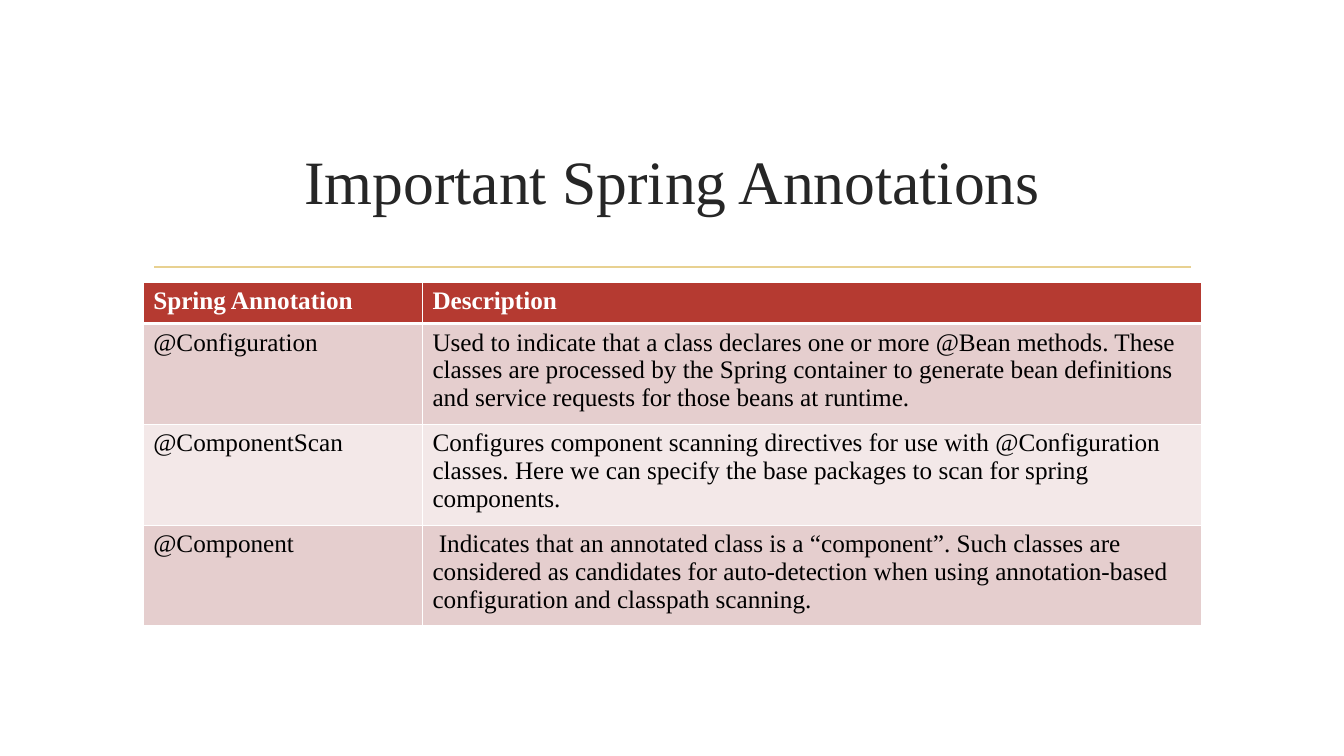
from lxml.etree import SubElement
from pptx import Presentation
from pptx.dml.color import RGBColor
from pptx.enum.shapes import MSO_CONNECTOR
from pptx.enum.text import MSO_ANCHOR, PP_ALIGN
from pptx.oxml.ns import qn
from pptx.util import Inches, Pt

TITLE = "Important Spring Annotations"
ANNOTATIONS = [
    ("Spring Annotation", "Description"),
    ("@Configuration",
     "Used to indicate that a class declares one or more @Bean methods. "
     "These classes are processed by the Spring container to generate bean "
     "definitions and service requests for those beans at runtime."),
    ("@ComponentScan",
     "Configures component scanning directives for use with @Configuration "
     "classes. Here we can specify the base packages to scan for spring components."),
    ("@Component",
     " Indicates that an annotated class is a “component”. Such classes are "
     "considered as candidates for auto-detection when using annotation-based "
     "configuration and classpath scanning."),
]
THEME = {
    "font": "Times New Roman",
    "title_size": 44,
    "table_size": 18,
    "title": "262626",
    "rule": "E8D191",
    "header": "B53A31",
    "header_text": "FFFFFF",
    "body_text": "000000",
    "bands": ("E5CECE", "F3E8E8"),
    "border": "FFFFFF",
}
LEFT, WIDTH = 1.42, 10.5
TITLE_TOP, TITLE_HEIGHT = 1.07, 1.43
RULE_LEFT, RULE_RIGHT, RULE_TOP = 1.53, 11.81, 2.65
TABLE_TOP = 2.8
COLUMNS = (2.77, 7.73)
HEADER_HEIGHT, BODY_HEIGHT = 0.41, 0.93


def add_run(paragraph, words, size, color, bold=False):
    run = paragraph.add_run()
    run.text = words
    run.font.name = THEME["font"]
    run.font.size = Pt(size)
    run.font.bold = bold
    run.font.color.rgb = RGBColor.from_string(color)


def set_borders(cell, widths):
    properties = cell._tc.get_or_add_tcPr()
    for position, (side, width) in enumerate(widths.items()):
        border = properties.makeelement(qn(f"a:{side}"), {"w": str(Pt(width))})
        fill = SubElement(border, qn("a:solidFill"))
        SubElement(fill, qn("a:srgbClr"), val=THEME["border"])
        properties.insert(position, border)


def add_title(slide):
    title = slide.shapes.add_textbox(
        Inches(LEFT), Inches(TITLE_TOP), Inches(WIDTH), Inches(TITLE_HEIGHT))
    frame = title.text_frame
    frame.word_wrap = True
    frame.vertical_anchor = MSO_ANCHOR.MIDDLE
    heading = frame.paragraphs[0]
    heading.alignment = PP_ALIGN.CENTER
    add_run(heading, TITLE, THEME["title_size"], THEME["title"])


def add_rule(slide):
    rule = slide.shapes.add_connector(
        MSO_CONNECTOR.STRAIGHT, Inches(RULE_LEFT), Inches(RULE_TOP),
        Inches(RULE_RIGHT), Inches(RULE_TOP))
    rule.line.color.rgb = RGBColor.from_string(THEME["rule"])
    rule.line.width = Pt(1.25)
    SubElement(rule._element.spPr, qn("a:effectLst"))


def add_annotations(slide):
    heights = [HEADER_HEIGHT] + [BODY_HEIGHT] * (len(ANNOTATIONS) - 1)
    table = slide.shapes.add_table(
        len(ANNOTATIONS), len(COLUMNS), Inches(LEFT), Inches(TABLE_TOP),
        Inches(WIDTH), Inches(sum(heights))).table
    for column, width in zip(table.columns, COLUMNS):
        column.width = Inches(width)
    for index, (annotation, height) in enumerate(zip(ANNOTATIONS, heights)):
        table.rows[index].height = Inches(height)
        header = index == 0
        fill = THEME["header"] if header else THEME["bands"][(index - 1) % 2]
        color = THEME["header_text" if header else "body_text"]
        borders = {"lnL": 1, "lnR": 1, "lnT": 3 if index == 1 else 1,
                   "lnB": 3 if header else 1}
        for cell, words in zip(table.rows[index].cells, annotation):
            cell.fill.solid()
            cell.fill.fore_color.rgb = RGBColor.from_string(fill)
            set_borders(cell, borders)
            add_run(cell.text_frame.paragraphs[0], words,
                    THEME["table_size"], color, header)


def main():
    deck = Presentation()
    deck.slide_width, deck.slide_height = Inches(13.33), Inches(7.5)
    slide = deck.slides.add_slide(deck.slide_layouts[6])
    add_rule(slide)
    add_title(slide)
    add_annotations(slide)
    deck.save("out.pptx")


if __name__ == "__main__":
    main()
